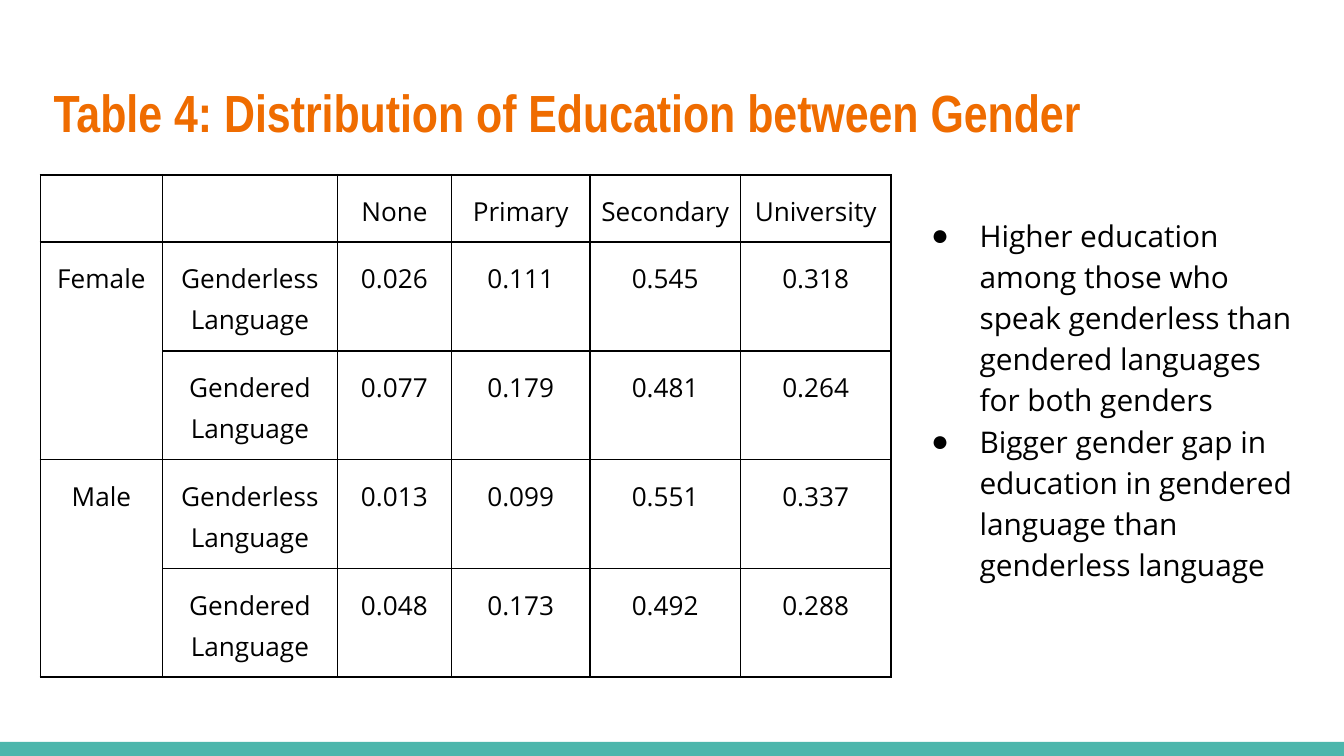
from lxml.etree import SubElement
from pptx import Presentation
from pptx.dml.color import RGBColor
from pptx.enum.shapes import MSO_SHAPE
from pptx.enum.text import MSO_ANCHOR, MSO_AUTO_SIZE, PP_ALIGN
from pptx.oxml.ns import qn
from pptx.util import Inches, Pt

COLORS = {"title": "EF6C00", "text": "000000", "border": "000000", "footer": "4DB6AC"}
TITLE_FONT, BODY_FONT, BULLET_FONT = "Arial Narrow", "Open Sans", "Arial"

TITLE = "Table 4: Distribution of Education between Gender"
BULLETS = [
    "Higher education among those who speak genderless than gendered languages for both genders",
    "Bigger gender gap in education in gendered language than genderless language",
]
ROWS = [
    ["", "", "None", "Primary", "Secondary", "University"],
    ["Female", "Genderless Language", "0.026", "0.111", "0.545", "0.318"],
    ["", "Gendered Language", "0.077", "0.179", "0.481", "0.264"],
    ["Male", "Genderless Language", "0.013", "0.099", "0.551", "0.337"],
    ["", "Gendered Language", "0.048", "0.173", "0.492", "0.288"],
]
COLUMN_WIDTHS = [0.91, 1.3, 0.85, 1.03, 1.12, 1.12]
HEADER_HEIGHT, ROW_HEIGHT = 0.5, 0.81
GENDER_ROWS = [1, 3]


def style(para, font, size, color, bold=False):
    for span in para.runs:
        span.font.name = font
        span.font.size = Pt(size)
        span.font.bold = bold
        span.font.color.rgb = RGBColor.from_string(COLORS[color])


def set_insets(target, side, edge):
    target.margin_left = target.margin_right = Inches(side)
    target.margin_top = target.margin_bottom = Inches(edge)


def add_text_frame(page, left, top, width, height):
    box = page.shapes.add_textbox(Inches(left), Inches(top), Inches(width), Inches(height))
    frame = box.text_frame
    frame.word_wrap = True
    frame.vertical_anchor = MSO_ANCHOR.TOP
    set_insets(frame, 0.1, 0.1)
    return frame


def add_bullet(para):
    props = para._p.get_or_add_pPr()
    props.set("marL", str(Inches(0.5)))
    props.set("indent", str(Inches(-0.36)))
    color = SubElement(props, qn("a:buClr"))
    SubElement(color, qn("a:srgbClr"), val=COLORS["text"])
    SubElement(props, qn("a:buFont"), typeface=BULLET_FONT)
    SubElement(props, qn("a:buChar"), char="●")


def add_borders(cell):
    props = cell._tc.get_or_add_tcPr()
    for position, side in enumerate(("lnL", "lnR", "lnT", "lnB")):
        line = props.makeelement(qn(f"a:{side}"), {"w": str(Pt(1))})
        fill = SubElement(line, qn("a:solidFill"))
        SubElement(fill, qn("a:srgbClr"), val=COLORS["border"])
        props.insert(position, line)


def add_education_table(page):
    height = HEADER_HEIGHT + ROW_HEIGHT * (len(ROWS) - 1)
    table = page.shapes.add_table(
        len(ROWS), len(COLUMN_WIDTHS), Inches(0.3), Inches(1.3),
        Inches(sum(COLUMN_WIDTHS)), Inches(height)).table
    table.first_row = table.horz_banding = False
    for column, width in zip(table.columns, COLUMN_WIDTHS):
        column.width = Inches(width)
    for index, row in enumerate(table.rows):
        row.height = Inches(ROW_HEIGHT if index else HEADER_HEIGHT)
    for r, values in enumerate(ROWS):
        for c, value in enumerate(values):
            cell = table.cell(r, c)
            set_insets(cell, 0.07, 0.1)
            cell.fill.background()
            add_borders(cell)
            para = cell.text_frame.paragraphs[0]
            para.alignment = PP_ALIGN.CENTER
            if value:
                para.text = value
                para.line_spacing = 1.15
                style(para, BODY_FONT, 14, "text")
            else:
                para.font.size = Pt(14)
    for r in GENDER_ROWS:
        table.cell(r, 0).merge(table.cell(r + 1, 0))


def main():
    deck = Presentation()
    deck.slide_width, deck.slide_height = Inches(10), Inches(10 * 9 / 16)
    page = deck.slides.add_slide(deck.slide_layouts[6])

    footer = page.shapes.add_shape(
        MSO_SHAPE.RECTANGLE, 0, Inches(5.52), deck.slide_width, Inches(0.11))
    footer.shadow.inherit = False
    footer.fill.solid()
    footer.fill.fore_color.rgb = RGBColor.from_string(COLORS["footer"])
    footer.line.fill.background()

    title = add_text_frame(page, 0.3, 0.5, 9.32, 0.77)
    title.text = TITLE
    style(title.paragraphs[0], TITLE_FONT, 28, "title", bold=True)

    findings = add_text_frame(page, 6.69, 1.48, 3.05, 3.31)
    findings.text = "\n".join(BULLETS)
    findings.auto_size = MSO_AUTO_SIZE.TEXT_TO_FIT_SHAPE
    for para in findings.paragraphs:
        para.line_spacing = 1.15
        add_bullet(para)
        style(para, BODY_FONT, 16, "text")

    add_education_table(page)
    deck.save("out.pptx")


if __name__ == "__main__":
    main()
